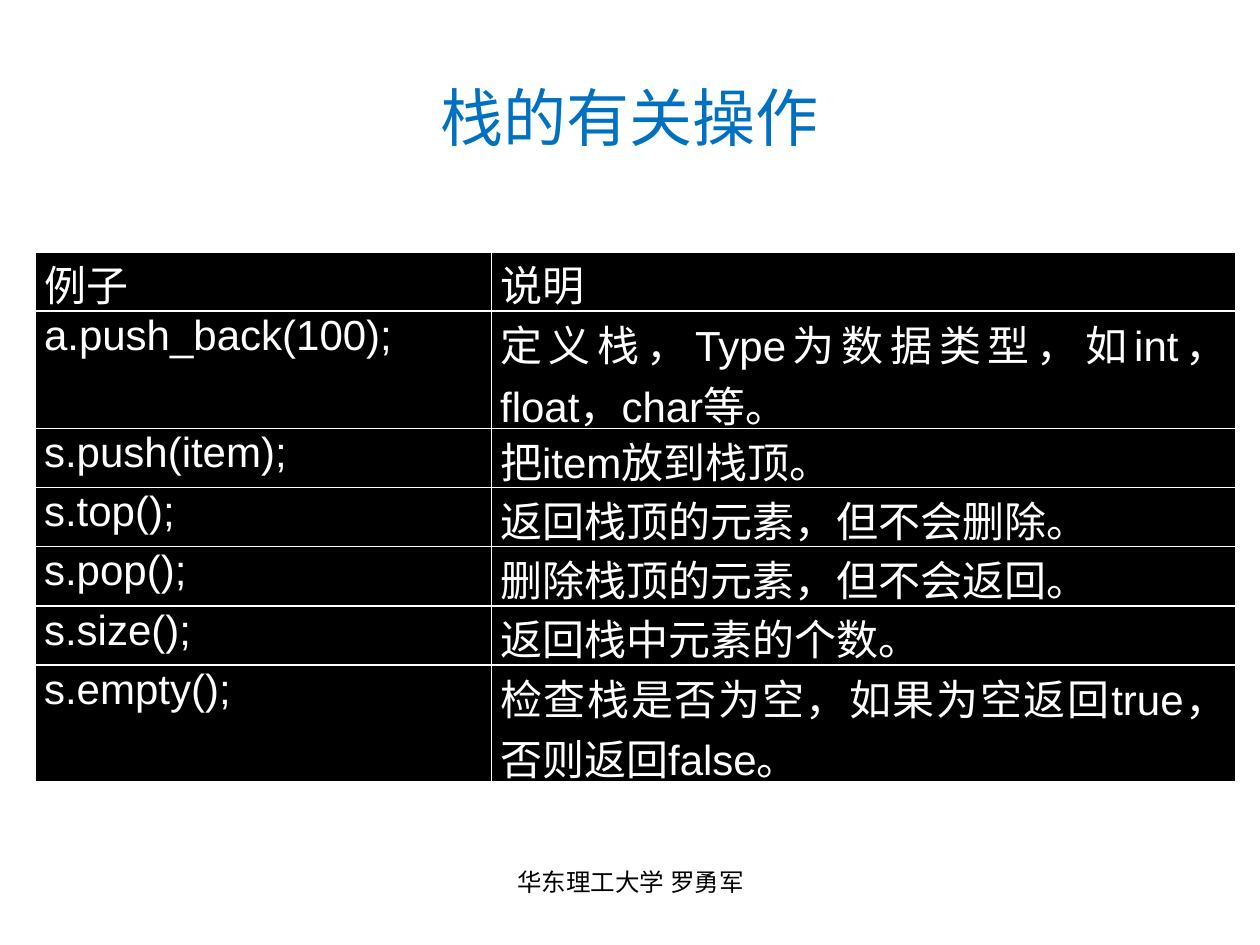
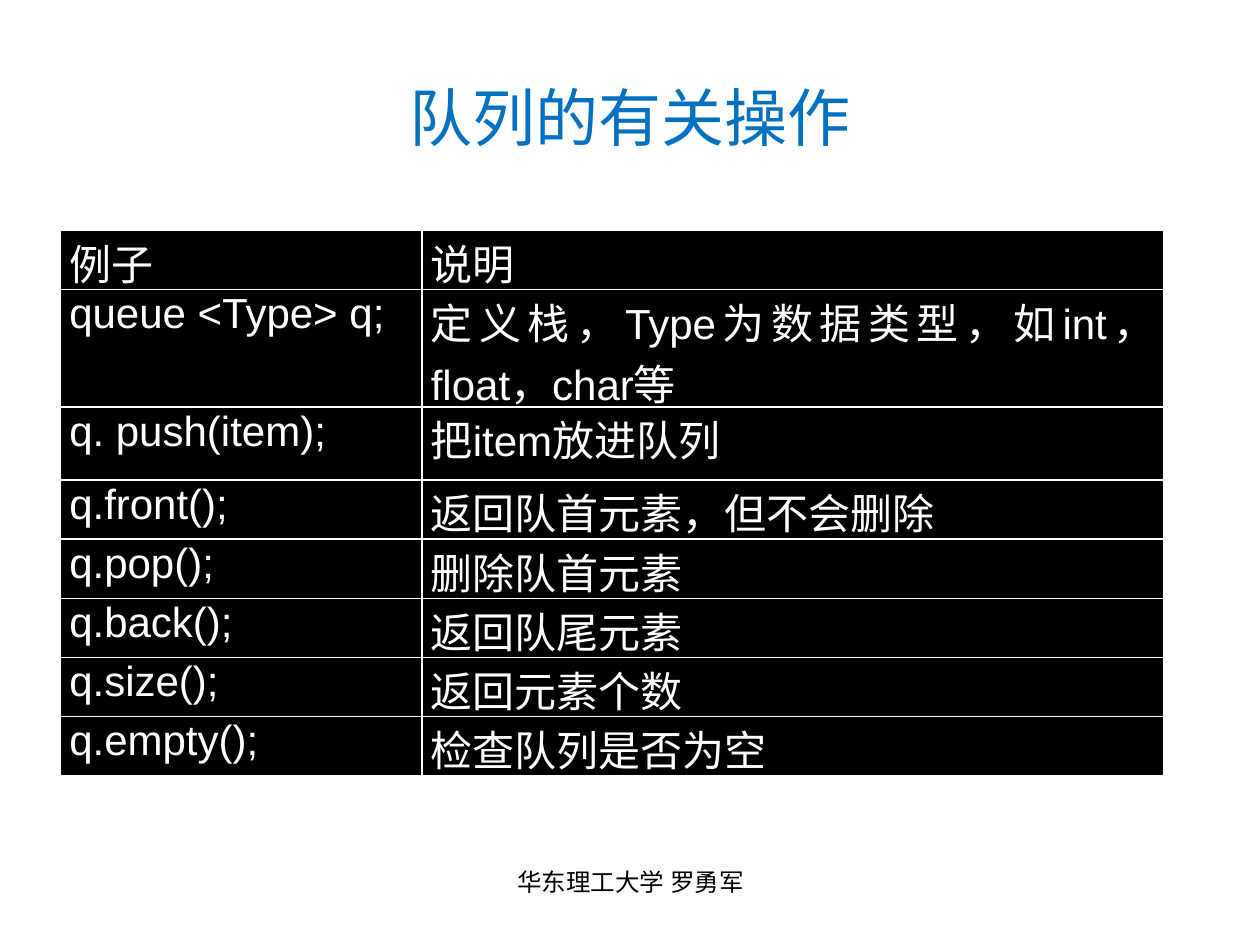
from dataclasses import dataclass

import pptx
import pptx.dml.color
import pptx.enum.text
import pptx.oxml
import pptx.oxml.ns
import pptx.util

Inches = pptx.util.Inches
Align = pptx.enum.text.PP_ALIGN
Anchor = pptx.enum.text.MSO_ANCHOR

FOOTER = "华东理工大学 罗勇军"
HEADER = ("例子", "说明")
ONE_LINE, TALL_LINE, TWO_LINES = 0.47, 0.58, 0.93

# Each operation: example, explanation, row height in inches.
OPERATION_SLIDES = [
    {
        "title": "栈的有关操作",
        "corner": (0.28, 2),
        "columns": (3.62, 5.91),
        "operations": [
            ("a.push_back(100);", "定义栈，Type为数据类型，如int，float，char等。", TWO_LINES),
            ("s.push(item);", "把item放到栈顶。", ONE_LINE),
            ("s.top();", "返回栈顶的元素，但不会删除。", ONE_LINE),
            ("s.pop();", "删除栈顶的元素，但不会返回。", ONE_LINE),
            ("s.size();", "返回栈中元素的个数。", ONE_LINE),
            ("s.empty();", "检查栈是否为空，如果为空返回true，否则返回false。", TWO_LINES),
        ],
    },
    {
        "title": "队列的有关操作",
        "corner": (0.48, 1.83),
        "columns": (2.87, 5.89),
        "operations": [
            ("queue <Type> q;", "定义栈，Type为数据类型，如int，float，char等", TWO_LINES),
            ("q. push(item);", "把item放进队列", TALL_LINE),
            ("q.front();", "返回队首元素，但不会删除", ONE_LINE),
            ("q.pop();", "删除队首元素", ONE_LINE),
            ("q.back();", "返回队尾元素", ONE_LINE),
            ("q.size();", "返回元素个数", ONE_LINE),
            ("q.empty();", "检查队列是否为空", ONE_LINE),
        ],
    },
]


@dataclass(frozen=True)
class Theme:
    font: str = "Arial"
    title_color: str = "0070C0"
    footer_color: str = "000000"
    cell_fill: str = "000000"
    cell_text: str = "FFFFFF"
    grid_color: str = "FFFFFF"
    title_size: int = 36
    cell_size: int = 24
    footer_size: int = 14
    grid_width: int = 1


THEME = Theme()


def rgb(value):
    return pptx.dml.color.RGBColor.from_string(value)


def write(frame, text, size, color, alignment):
    frame.word_wrap = True
    paragraph = frame.paragraphs[0]
    paragraph.alignment = alignment
    run = paragraph.add_run()
    run.text = text
    run.font.name = THEME.font
    run.font.size = pptx.util.Pt(size)
    run.font.color.rgb = rgb(color)


def add_centred_text(slide, box, text, size, color, anchor):
    frame = slide.shapes.add_textbox(*map(Inches, box)).text_frame
    frame.vertical_anchor = anchor
    write(frame, text, size, color, Align.CENTER)


def draw_borders(cell):
    """Line all four cell edges; the lines must precede the fill in the XML."""
    properties = cell._tc.get_or_add_tcPr()
    for position, edge in enumerate(("lnL", "lnR", "lnT", "lnB")):
        line = pptx.oxml.parse_xml(
            f'<a:{edge} {pptx.oxml.ns.nsdecls("a")} w="{pptx.util.Pt(THEME.grid_width)}">'
            f'<a:solidFill><a:srgbClr val="{THEME.grid_color}"/></a:solidFill></a:{edge}>'
        )
        properties.insert(position, line)


def fill_cell(cell, text):
    cell.margin_left = cell.margin_right = Inches(0.07)
    cell.margin_top, cell.margin_bottom = Inches(0.01), 0
    cell.fill.solid()
    cell.fill.fore_color.rgb = rgb(THEME.cell_fill)
    draw_borders(cell)
    write(cell.text_frame, text, THEME.cell_size, THEME.cell_text, Align.JUSTIFY)


def add_operations(slide, corner, columns, operations):
    rows = [(*HEADER, ONE_LINE), *operations]
    size = (sum(columns), sum(height for *_, height in rows))
    table = slide.shapes.add_table(
        len(rows), len(columns), *map(Inches, corner + size)
    ).table
    for column, width in zip(table.columns, columns):
        column.width = Inches(width)
    for row, (*texts, height) in zip(table.rows, rows):
        row.height = Inches(height)
        for cell, text in zip(row.cells, texts):
            fill_cell(cell, text)


def main():
    deck = pptx.Presentation()
    deck.slide_width, deck.slide_height = Inches(10), Inches(7.5)
    blank = deck.slide_layouts[6]
    for content in OPERATION_SLIDES:
        slide = deck.slides.add_slide(blank)
        add_centred_text(slide, (0.5, 0.3, 9, 1.25), content["title"],
                         THEME.title_size, THEME.title_color, Anchor.MIDDLE)
        add_operations(slide, content["corner"], content["columns"],
                       content["operations"])
        add_centred_text(slide, (3.42, 6.83, 3.17, 0.52), FOOTER,
                         THEME.footer_size, THEME.footer_color, Anchor.TOP)
    deck.save("out.pptx")


if __name__ == "__main__":
    main()
